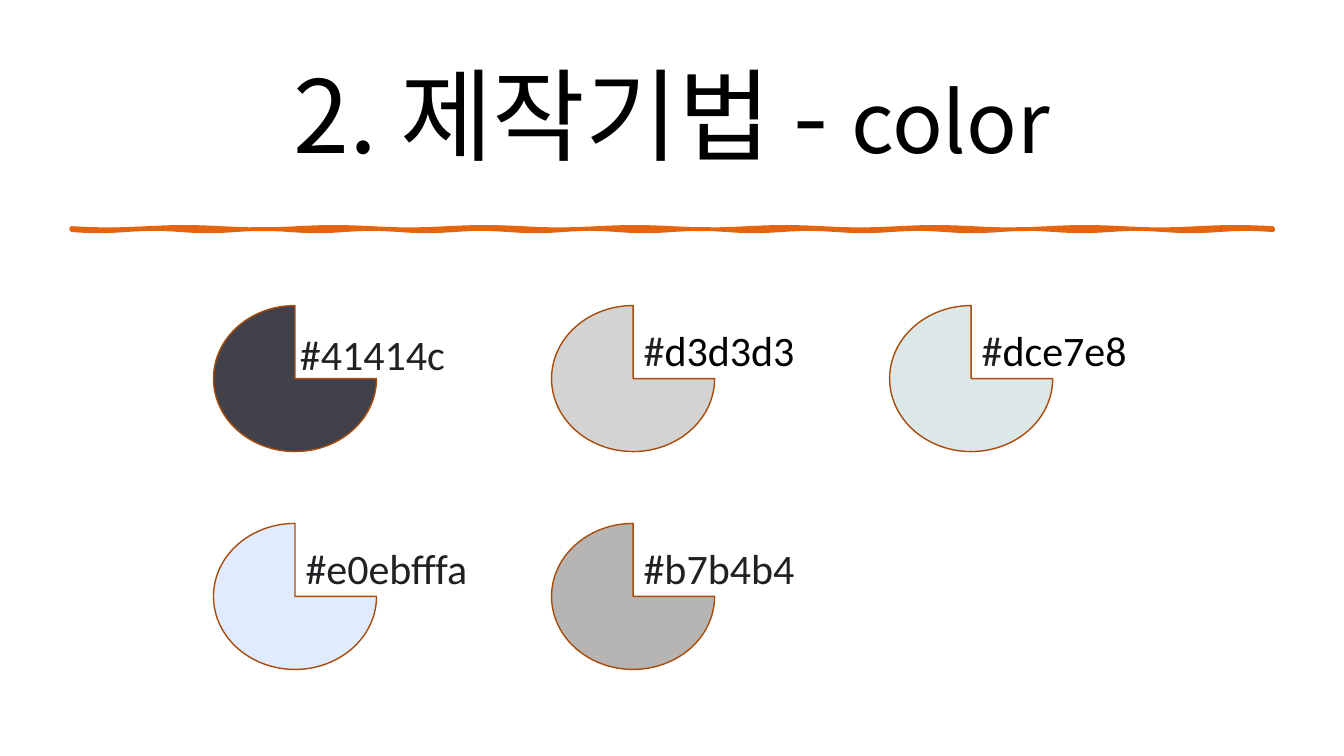
import math

import pptx
import pptx.util
import pptx.dml.color
import pptx.enum.shapes
import pptx.enum.text
import lxml.etree
from pptx.util import Cm, Pt

ORANGE = "E4650E"
PIE_EDGE = "A94B0A"
BLACK = "000000"
CHARCOAL = "202124"
HEADING_FONT = "Noto Sans CJK KR"
LABEL_FONT = "Calibri"

FIRST_LEFT, FIRST_TOP = 5.38, 7.7
COLUMN_STEP, ROW_STEP = 8.52, 5.49
PIE_WIDTH, PIE_HEIGHT = 4.11, 3.68

# column, row, fill, label offset from the pie, label width, (text, colour) runs
SWATCHES = [
    (0, 0, "41414C", (1.93, 0.56), 4.88, [("#41414c", CHARCOAL)]),
    (1, 0, "D3D3D3", (2.07, 0.46), 4.9, [("#", CHARCOAL), ("d3d3d3", BLACK)]),
    (2, 0, "DCE7E8", (2.07, 0.46), 5.1, [("#", CHARCOAL), ("dce7e8", BLACK)]),
    (0, 1, "E0EBFF", (2.07, 0.46), 5.64, [("#e0ebfffa", CHARCOAL)]),
    (1, 1, "B7B4B4", (2.07, 0.46), 4.75, [("#b7b4b4", CHARCOAL)]),
]


def rgb(hex_colour):
    return pptx.dml.color.RGBColor.from_string(hex_colour)


def paint(shape, fill, edge, edge_width):
    shape.shadow.inherit = False
    shape.fill.solid()
    shape.fill.fore_color.rgb = rgb(fill)
    shape.line.color.rgb = rgb(edge)
    shape.line.width = Pt(edge_width)


def add_run(paragraph, text, font_name, size, colour):
    """Add a run whose font covers both Latin and Korean letters."""
    run = paragraph.add_run()
    run.text = text
    run.font.name = font_name
    run.font.size = Pt(size)
    run.font.color.rgb = rgb(colour)
    east_asian = lxml.etree.SubElement(
        run.font._element, pptx.oxml.ns.qn("a:ea"))
    east_asian.set("typeface", font_name)


def set_heading(slide):
    heading = slide.shapes.title
    heading.left, heading.top = Cm(2.33), Cm(1.01)
    heading.width, heading.height = Cm(29.21), Cm(3.69)
    frame = heading.text_frame
    frame.word_wrap = True
    frame.auto_size = pptx.enum.text.MSO_AUTO_SIZE.NONE
    frame.vertical_anchor = pptx.enum.text.MSO_ANCHOR.MIDDLE
    paragraph = frame.paragraphs[0]
    paragraph.alignment = pptx.enum.text.PP_ALIGN.CENTER
    add_run(paragraph, "2. 제작기법 - ", HEADING_FONT, 72, BLACK)
    add_run(paragraph, "color", HEADING_FONT, 60, BLACK)


def add_brush_rule(slide):
    """Draw the hand-drawn rule as a thin ribbon with two wavering edges."""
    left, width, steps = 1.8, 30.28, 120

    def edge(y, waves, step):
        waver = 0.03 * math.sin(2 * math.pi * waves * step / steps)
        return Cm(left + width * step / steps), Cm(y + waver)

    lower = [edge(5.8, 11, step) for step in range(steps + 1)]
    upper = [edge(5.75, 8, step) for step in range(steps, -1, -1)]
    builder = slide.shapes.build_freeform(*lower[0])
    builder.add_line_segments(lower[1:] + upper, close=True)
    paint(builder.convert_to_shape(), ORANGE, ORANGE, 2.75)


def add_pie(slide, left, top, fill):
    pie = slide.shapes.add_shape(
        pptx.enum.shapes.MSO_SHAPE.PIE,
        Cm(left), Cm(top), Cm(PIE_WIDTH), Cm(PIE_HEIGHT))
    paint(pie, fill, PIE_EDGE, 1)


def add_label(slide, left, top, width, runs):
    label = slide.shapes.add_textbox(Cm(left), Cm(top), Cm(width), Cm(1.37))
    frame = label.text_frame
    frame.word_wrap = True
    frame.margin_top = frame.margin_bottom = Cm(0.08)
    frame.vertical_anchor = pptx.enum.text.MSO_ANCHOR.BOTTOM
    for text, colour in runs:
        add_run(frame.paragraphs[0], text, LABEL_FONT, 30, colour)


def main():
    deck = pptx.Presentation()
    deck.slide_width, deck.slide_height = Cm(33.87), Cm(19.05)
    slide = deck.slides.add_slide(deck.slide_layouts[5])
    add_brush_rule(slide)
    set_heading(slide)
    for column, row, fill, (shift_x, shift_y), width, runs in SWATCHES:
        left = FIRST_LEFT + column * COLUMN_STEP
        top = FIRST_TOP + row * ROW_STEP
        add_pie(slide, left, top, fill)
        add_label(slide, left + shift_x, top + shift_y, width, runs)
    deck.save("out.pptx")


if __name__ == "__main__":
    main()
